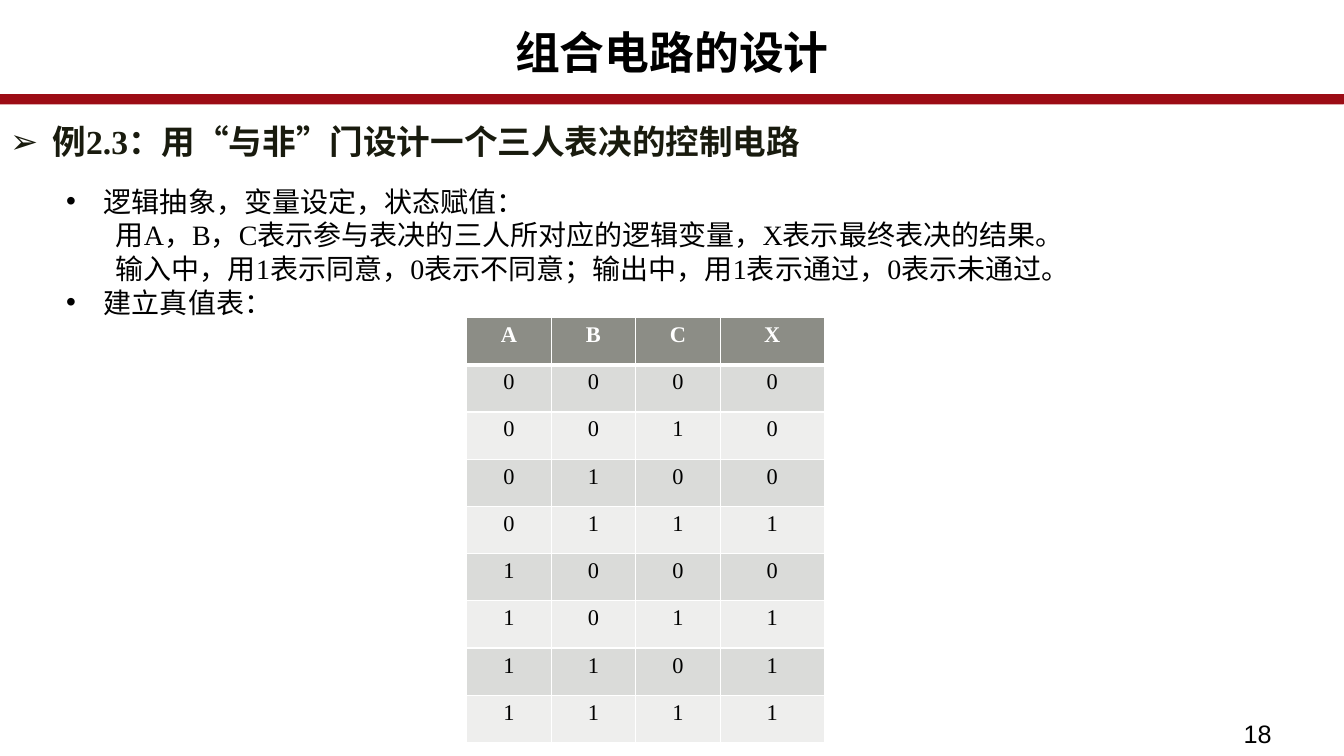
from dataclasses import dataclass
from itertools import product

from lxml import etree
from pptx import Presentation
from pptx import util as u
from pptx.dml import color
from pptx.enum import shapes, text
from pptx.oxml import ns

SERIF = "Times New Roman"
BLACK, WHITE, RED = "000000", "FFFFFF", "9C0C15"
HEADER, BAND_DARK, BAND_LIGHT = "8C8D86", "DADBD9", "EEEEED"


@dataclass
class Line:
    """One paragraph; margin and hanging indent in centimetres."""
    words: str
    size: float
    colour: str = BLACK
    bold: bool = False
    font: str = SERIF
    align: text.PP_ALIGN = text.PP_ALIGN.LEFT
    bullet: str = ""
    margin: float = 0
    spacing: float = 1
    after: float = 0


def rgb(value: str) -> color.RGBColor:
    return color.RGBColor.from_string(value)


def set_all(target, values: dict) -> None:
    for name, value in values.items():
        setattr(target, name, value)


def place(box, left: float, top: float, width: float, height: float) -> None:
    set_all(box, dict(left=u.Cm(left), top=u.Cm(top),
                      width=u.Cm(width), height=u.Cm(height)))


def write_line(para, line: Line) -> None:
    props = para._p.get_or_add_pPr()
    props.set("marL", str(u.Cm(line.margin)))
    props.set("indent", str(-u.Cm(line.margin) if line.bullet else 0))
    if line.bullet:
        etree.SubElement(props, ns.qn("a:buFont"), typeface="Arial")
        etree.SubElement(props, ns.qn("a:buChar"), char=line.bullet)
    set_all(para, dict(alignment=line.align, line_spacing=line.spacing,
                       space_before=u.Pt(0), space_after=u.Pt(line.after)))
    span = para.add_run()
    span.text = line.words
    set_all(span.font, dict(name=line.font, size=u.Pt(line.size), bold=line.bold))
    span.font.color.rgb = rgb(line.colour)


def write_lines(frame, lines: list[Line], anchor=text.MSO_ANCHOR.TOP) -> None:
    set_all(frame, dict(word_wrap=True, vertical_anchor=anchor,
                        auto_size=text.MSO_AUTO_SIZE.NONE))
    for index, line in enumerate(lines):
        para = frame.add_paragraph() if index else frame.paragraphs[0]
        write_line(para, line)


def add_borders(cell, widths: dict[str, float]) -> None:
    props = cell._tc.get_or_add_tcPr()
    for side, width in widths.items():
        edge = etree.SubElement(props, ns.qn(f"a:ln{side}"), w=str(u.Pt(width)))
        fill = etree.SubElement(edge, ns.qn("a:solidFill"))
        etree.SubElement(fill, ns.qn("a:srgbClr"), val=WHITE)


def add_truth_table(page) -> None:
    votes = list(product((0, 1), repeat=3))
    rows = [("A", "B", "C", "X")] + [(*vote, int(sum(vote) >= 2)) for vote in votes]
    widths, row_height = (2.13, 2.13, 2.13, 2.62), 1.19
    table = page.shapes.add_table(
        len(rows), len(widths), u.Cm(11.76), u.Cm(8), u.Cm(sum(widths)),
        u.Cm(row_height * len(rows))).table
    table.horz_banding = False
    for column, width in zip(table.columns, widths):
        column.width = u.Cm(width)
    for r, values in enumerate(rows):
        table.rows[r].height = u.Cm(row_height)
        is_header = r == 0
        band = HEADER if is_header else (BAND_LIGHT, BAND_DARK)[r % 2]
        for c, value in enumerate(values):
            cell = table.cell(r, c)
            add_borders(cell, {"L": 1, "R": 1, "T": 3 if r == 1 else 1,
                               "B": 3 if is_header else 1})
            cell.fill.solid()
            cell.fill.fore_color.rgb = rgb(band)
            write_line(cell.text_frame.paragraphs[0], Line(
                str(value), 16, WHITE if is_header else BLACK, is_header,
                align=text.PP_ALIGN.CENTER))


def main() -> None:
    deck = Presentation()
    set_all(deck, dict(slide_width=u.Cm(33.87), slide_height=u.Cm(19.05)))
    page = deck.slides.add_slide(deck.slide_layouts[1])

    # Red rule under the title
    rule = page.shapes.add_shape(shapes.MSO_SHAPE.ROUNDED_RECTANGLE, u.Cm(-0.02),
                                 u.Cm(2.42), u.Cm(33.9), u.Cm(0.16))
    rule.shadow.inherit = False
    rule.fill.solid()
    rule.fill.fore_color.rgb = rgb(RED)
    rule.line.color.rgb = rgb(RED)
    rule.line.width = u.Pt(2.75)

    # Title and example heading
    title, body = page.shapes.title, page.placeholders[1]
    place(title, 0, 0.66, 33.87, 1.9)
    write_lines(title.text_frame, [Line("组合电路的设计", 32, bold=True, spacing=0.89,
                                        align=text.PP_ALIGN.CENTER)])
    place(body, 0, 3, 33.87, 14.83)
    write_lines(body.text_frame, [
        Line("例2.3：用“与非”门设计一个三人表决的控制电路", 24, "191B0E", True,
             bullet="➢", margin=1.07, spacing=0.94, after=2)])

    # Page number
    number = page.shapes.add_textbox(u.Cm(31.09), u.Cm(17.93), u.Cm(2.77), u.Cm(1.12))
    write_lines(number.text_frame, [Line("18", 18, font="Arial")],
                text.MSO_ANCHOR.MIDDLE)

    # Design steps
    steps = page.shapes.add_textbox(u.Cm(1.42), u.Cm(4.52), u.Cm(29.69), u.Cm(4.52))
    step = dict(size=20, bullet="•", margin=0.95)
    detail = dict(size=20, margin=1.25)
    write_lines(steps.text_frame, [
        Line("逻辑抽象，变量设定，状态赋值：", **step),
        Line("用A，B，C表示参与表决的三人所对应的逻辑变量，X表示最终表决的结果。", **detail),
        Line("输入中，用1表示同意，0表示不同意；输出中，用1表示通过，0表示未通过。", **detail),
        Line("建立真值表：", **step)])

    # Truth table of the majority vote
    add_truth_table(page)
    deck.save("out.pptx")


if __name__ == "__main__":
    main()
